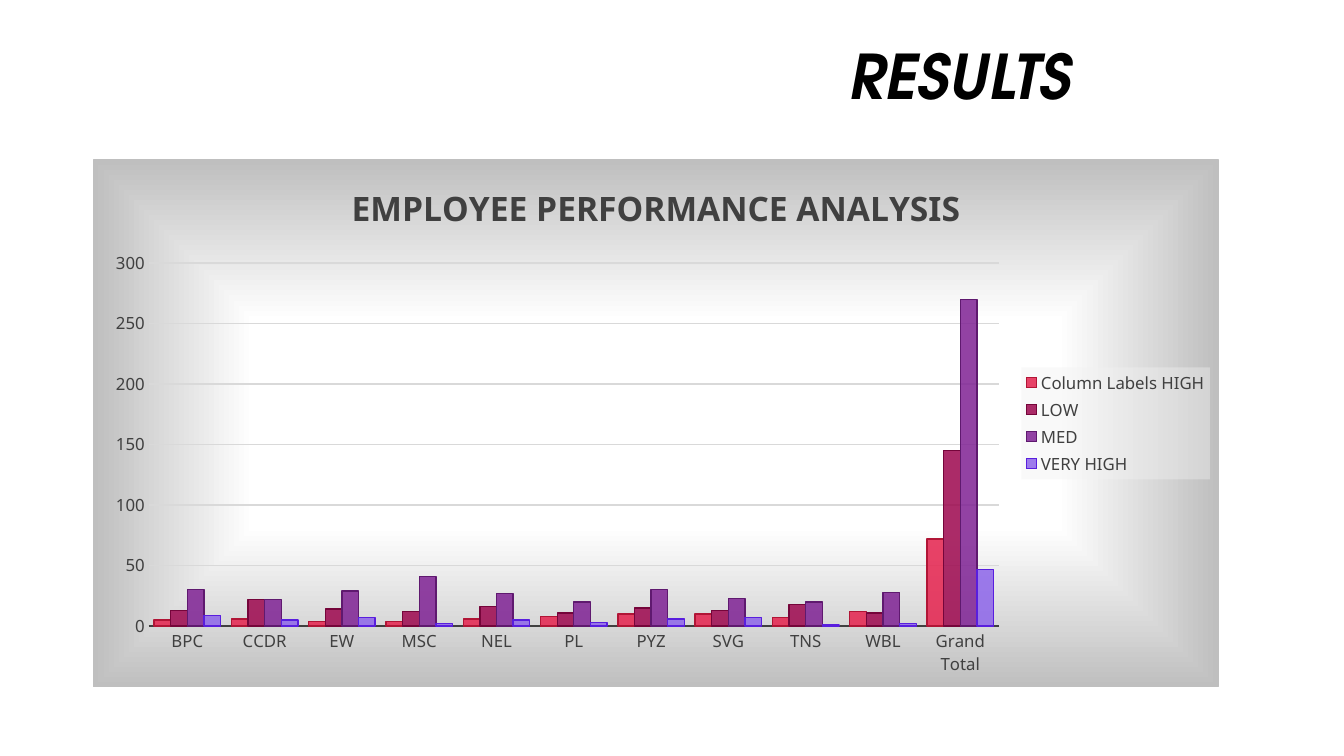
from lxml import etree
from pptx import Presentation
from pptx.chart.data import CategoryChartData
from pptx.dml.color import RGBColor
from pptx.enum.chart import XL_CHART_TYPE, XL_LEGEND_POSITION, XL_TICK_MARK
from pptx.enum.text import MSO_ANCHOR, PP_ALIGN
from pptx.oxml import parse_xml
from pptx.oxml.ns import nsdecls, qn
from pptx.util import Inches, Pt

CLUSTERED = XL_CHART_TYPE.COLUMN_CLUSTERED
LEGEND_RIGHT = XL_LEGEND_POSITION.RIGHT
NO_TICK = XL_TICK_MARK.NONE

# Content
HEADING = "RESULTS"
CHART_TITLE = "EMPLOYEE PERFORMANCE ANALYSIS"
UNITS = ["BPC", "CCDR", "EW", "MSC", "NEL", "PL", "PYZ", "SVG", "TNS", "WBL",
         "Grand Total"]
RATINGS = [  # name, fill, outline, values
    ("Column Labels HIGH", "E5224E", "B11536", [5, 6, 4, 4, 6, 8, 10, 10, 7, 12, 72]),
    ("LOW", "9D074E", "75053A", [13, 22, 14, 12, 16, 11, 15, 13, 18, 11, 145]),
    ("MED", "7F2294", "5F196F", [30, 22, 29, 41, 27, 20, 30, 23, 20, 28, 270]),
    ("VERY HIGH", "8D65EA", "591EDE", [9, 5, 7, 2, 5, 3, 6, 7, 1, 2, 47]),
]
BAR_OPACITY = 85
HEADING_FONT, CHART_FONT = "TeX Gyre Adventor", "Noto Sans"
BLACK, DARK, GRID, EDGE = "000000", "404040", "D9D9D9", "BFBFBF"
BACKDROP_STOPS = [(0, "FFFFFF"), (39, "FFFFFF"), (100, EDGE)]


def color(value):
    return RGBColor.from_string(value)


def style_font(font, size, value, name=CHART_FONT, bold=False, italic=False):
    font.name, font.size, font.bold, font.italic = name, Pt(size), bold, italic
    font.color.rgb = color(value)


def style_line(line, value):
    line.color.rgb = color(value)
    line.width = Pt(1)


def solid_xml(value, opacity):
    return (f'<a:solidFill><a:srgbClr val="{value}">'
            f'<a:alpha val="{opacity * 1000}"/></a:srgbClr></a:solidFill>')


deck = Presentation()
deck.slide_width, deck.slide_height = Inches(13.33), Inches(7.5)
page = deck.slides.add_slide(deck.slide_layouts[5])

# Heading
heading = page.shapes.title
heading.left, heading.top = Inches(8.33), Inches(0.33)
heading.width, heading.height = Inches(4.92), Inches(0.84)
heading.text_frame.vertical_anchor = MSO_ANCHOR.TOP
heading.text_frame.word_wrap = True
para = heading.text_frame.paragraphs[0]
para.alignment = PP_ALIGN.LEFT
span = para.add_run()
span.text = HEADING
style_font(span.font, 44, BLACK, HEADING_FONT, bold=True, italic=True)

# Chart
data = CategoryChartData()
data.categories = UNITS
for name, _, _, values in RATINGS:
    data.add_series(name, values)
chart = page.shapes.add_chart(CLUSTERED, Inches(0.92), Inches(1.58),
                              Inches(11.17), Inches(5.24), data).chart
style_font(chart.font, 10, BLACK)
chart.has_title = True
span = chart.chart_title.text_frame.paragraphs[0].add_run()
span.text = CHART_TITLE
style_font(span.font, 24, DARK, bold=True)
chart.chart_title.include_in_layout = False

# Columns
plot = chart.plots[0]
plot.gap_width, plot.overlap, plot.vary_by_categories = 65, 0, False
for series, (_, fill, outline, _) in zip(plot.series, RATINGS):
    series.format.fill.solid()
    series.format.fill.fore_color.rgb = color(fill)
    swatch = series.format.fill.fore_color.rgb
    tint = series._element.find(qn("c:spPr")).find(qn("a:solidFill"))[0]
    etree.SubElement(tint, qn("a:alpha")).set("val", str(BAR_OPACITY * 1000))
    style_line(series.format.line, outline)

# Axes
for axis in (chart.category_axis, chart.value_axis):
    axis.major_tick_mark = axis.minor_tick_mark = NO_TICK
    style_font(axis.tick_labels.font, 12, DARK)
style_line(chart.category_axis.format.line, DARK)
scale = chart.value_axis
scale.minimum_scale, scale.maximum_scale, scale.major_unit = 0, 300, 50
scale.format.line.fill.background()
scale.has_major_gridlines = True
style_line(scale.major_gridlines.format.line, GRID)

# Legend on a translucent panel
chart.has_legend = True
legend = chart.legend
legend.position, legend.include_in_layout = LEGEND_RIGHT, False
style_font(legend.font, 12, DARK)
legend._element.find(qn("c:txPr")).addprevious(parse_xml(
    f'<c:spPr {nsdecls("c", "a")}>{solid_xml("F2F2F2", 39)}</c:spPr>'))

# Chart backdrop: gradient from the centre to the edges
stops = "".join(f'<a:gs pos="{place * 1000}"><a:srgbClr val="{value}"/></a:gs>'
                for place, value in BACKDROP_STOPS)
backdrop = parse_xml(
    f'<c:spPr {nsdecls("c", "a")}><a:gradFill><a:gsLst>{stops}</a:gsLst>'
    '<a:path path="rect"><a:fillToRect l="50000" t="50000" r="50000" b="50000"/>'
    f'</a:path></a:gradFill><a:ln w="{Pt(1)}"><a:solidFill>'
    f'<a:srgbClr val="{EDGE}"/></a:solidFill></a:ln></c:spPr>')
chart._chartSpace.find(qn("c:chart")).addnext(backdrop)

deck.save("out.pptx")
